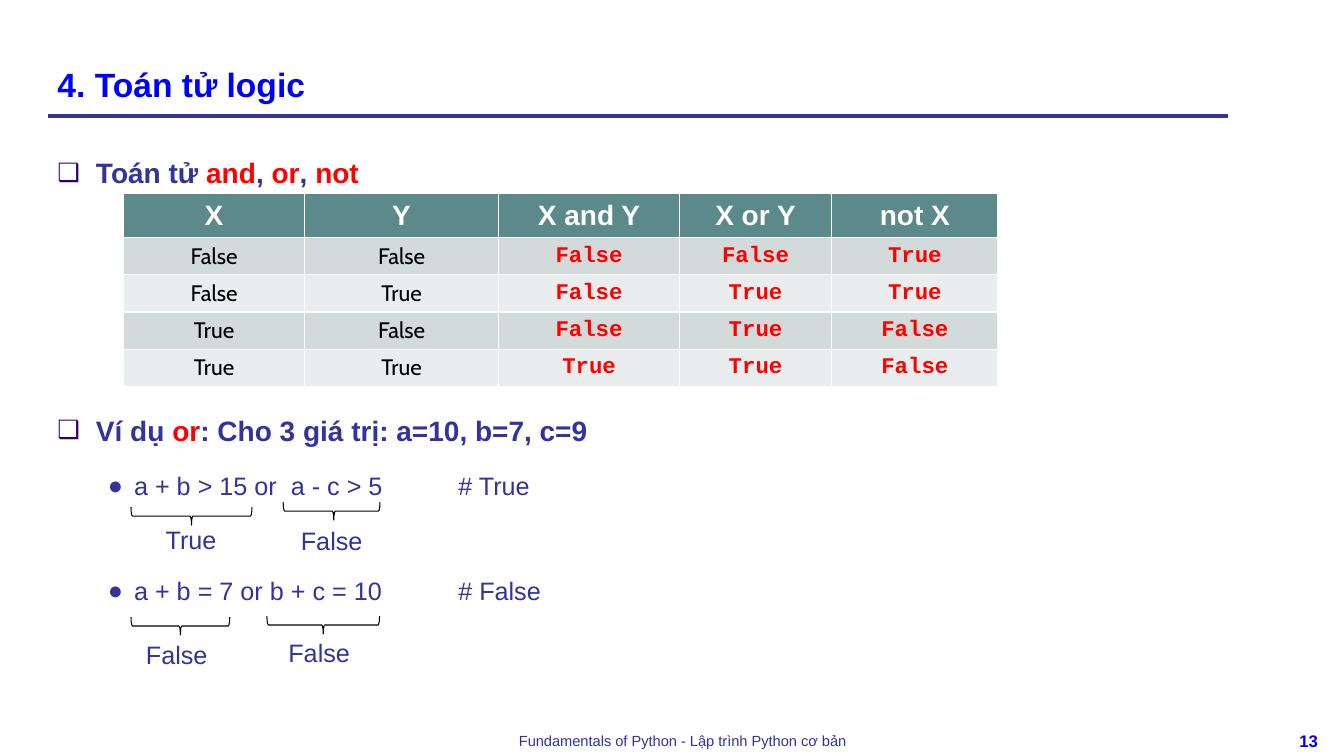
from pptx import Presentation
from pptx.dml.color import RGBColor
from pptx.enum.shapes import MSO_CONNECTOR, MSO_SHAPE
from pptx.enum.text import MSO_ANCHOR as Anchor, PP_ALIGN as Align
from pptx.oxml.ns import qn
from pptx.util import Cm, Pt
from lxml.etree import SubElement as Sub

NAVY, BLUE, RED, WHITE, BLACK = "333399", "0000FF", "FF0000", "FFFFFF", "000000"


def tint(code):
    return RGBColor.from_string(code)


def write(para, text, size, color, bold=False, face="Arial"):
    run = para.add_run()
    run.text = text
    font = run.font
    font.size, font.bold, font.name = Pt(size), bold, face
    font.color.rgb = tint(color)


deck = Presentation()
deck.slide_width, deck.slide_height = Cm(33.87), Cm(19.05)
slide = deck.slides.add_slide(deck.slide_layouts[6])
shapes = slide.shapes

# Rule under the title
rule = shapes.add_connector(MSO_CONNECTOR.STRAIGHT, Cm(1.22), Cm(2.93), Cm(30.94), Cm(2.93))
rule.line.color.rgb = tint(NAVY)
rule.line.width = Pt(3)
Sub(rule._element.spPr, qn("a:effectLst"))

# Title, footer, page number and the results under the braces
labels = [
    ("4. Toán tử logic", 1.2, 0.53, 29.34, 2.21, 24, BLUE, True, Align.LEFT, Anchor.BOTTOM),
    ("Fundamentals of Python - Lập trình Python cơ bản",
     8.18, 18.31, 18.06, 0.74, 10.5, NAVY, False, Align.CENTER, Anchor.TOP),
    ("13", 32.18, 18.29, 1.6, 0.76, 12, BLUE, True, Align.CENTER, Anchor.TOP),
]
results = [("True", 3.81, 13.08, 2.01), ("False", 7.14, 13.11, 2.44),
           ("False", 3.12, 15.98, 2.67), ("False", 6.71, 15.93, 2.67)]
for text, x, y, w in results:
    labels.append((text, x, y, w, 1.02, 18, NAVY, False, Align.CENTER, Anchor.TOP))
for text, x, y, w, h, size, color, bold, align, anchor in labels:
    frame = shapes.add_textbox(Cm(x), Cm(y), Cm(w), Cm(h)).text_frame
    frame.word_wrap = True
    frame.vertical_anchor = anchor
    para = frame.paragraphs[0]
    para.alignment = align
    write(para, text, size, color, bold)

# Body: headings and examples, as (level, space before, runs)
body = [
    (0, 0, [("Toán tử ", NAVY), ("and", RED), (", ", NAVY), ("or", RED), (", ", NAVY), ("not", RED)]),
    (0, 160, [("Ví dụ ", NAVY), ("or", RED), (": Cho 3 giá trị: a=10, b=7, c=9", NAVY)]),
    (1, 17, [("a + b > 15 or  a - c > 5\t# True", NAVY)]),
    (1, 53, [("a + b = 7 or b + c = 10\t# False", NAVY)]),
]
# Per level: left margin, hang, bullet, bullet colour, bullet size, text size
styles = [(0.97, 0.97, "❑", "330066", 90, 20), (1.93, 0.66, "●", NAVY, 100, 18)]
frame = shapes.add_textbox(Cm(1.2), Cm(3.8), Cm(29.34), Cm(13.9)).text_frame
frame.word_wrap = True
for i, (level, gap, runs) in enumerate(body):
    para = frame.paragraphs[0] if i == 0 else frame.add_paragraph()
    left, hang, mark, shade, scale, size = styles[level]
    para.level = level
    para.space_before = Pt(gap)
    props = para._p.get_or_add_pPr()
    props.set("marL", str(Cm(left)))
    props.set("indent", str(-Cm(hang)))
    Sub(Sub(props, qn("a:buClr")), qn("a:srgbClr"), val=shade)
    Sub(props, qn("a:buSzPct"), val=str(scale * 1000))
    Sub(props, qn("a:buFont"), typeface="Arial")
    Sub(props, qn("a:buChar"), char=mark)
    if level:
        Sub(Sub(props, qn("a:tabLst")), qn("a:tab"), pos=str(Cm(10.1)), algn="l")
    for text, color in runs:
        write(para, text, size, color, level == 0)

# Truth table
heads = ["X", "Y", "X and Y", "X or Y", "not X"]
pairs = [(x, y) for x in (False, True) for y in (False, True)]
rows = [heads] + [[x, y, x and y, x or y, not x] for x, y in pairs]
table = shapes.add_table(5, 5, Cm(3.12), Cm(4.88), Cm(22.02), Cm(4.8)).table
for col, width in zip(table.columns, [4.55, 4.9, 4.55, 3.84, 4.19]):
    col.width = Cm(width)
for r, row in enumerate(rows):
    table.rows[r].height = Cm(0.94 if r else 1.04)
    for c, value in enumerate(row):
        cell = table.cell(r, c)
        cell.vertical_anchor = Anchor.MIDDLE
        cell.fill.solid()
        cell.fill.fore_color.rgb = tint("5C8A8A" if r == 0 else "D2DADA" if r % 2 else "EAEDED")
        para = cell.text_frame.paragraphs[0]
        para.alignment = Align.CENTER
        if r == 0:
            write(para, value, 20, WHITE, True)
        elif c < 2:
            write(para, str(value), 16, BLACK, False, "Cabin")
        else:
            write(para, str(value), 16, RED, True, "Courier New")

# Braces under the operands, turned to point down
braces = [(8.13, 11.66, 2.44, 0.477), (4.6, 11.48, 3.05, 0.5),
          (4.32, 14.53, 2.49, 0.5), (7.92, 14.33, 2.84, 0.5)]
for x, y, span, tip in braces:
    brace = shapes.add_shape(MSO_SHAPE.RIGHT_BRACE, Cm(x), Cm(y), Cm(0.45), Cm(span))
    brace.rotation = 90
    brace.adjustments[0], brace.adjustments[1] = 0.083, tip
    brace.shadow.inherit = False
    brace.fill.background()
    brace.line.color.rgb = tint(BLACK)
    brace.line.width = Pt(0.75)

deck.save("out.pptx")
